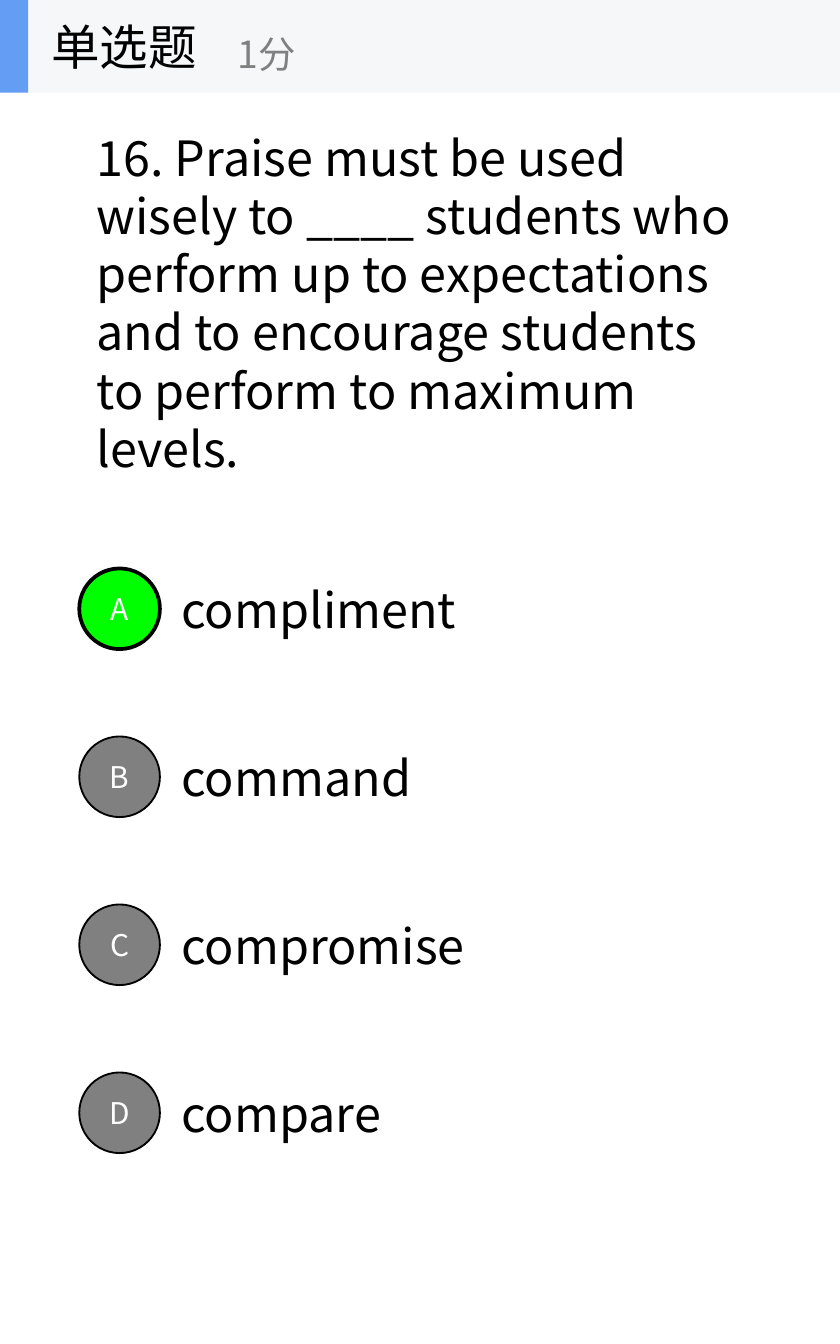
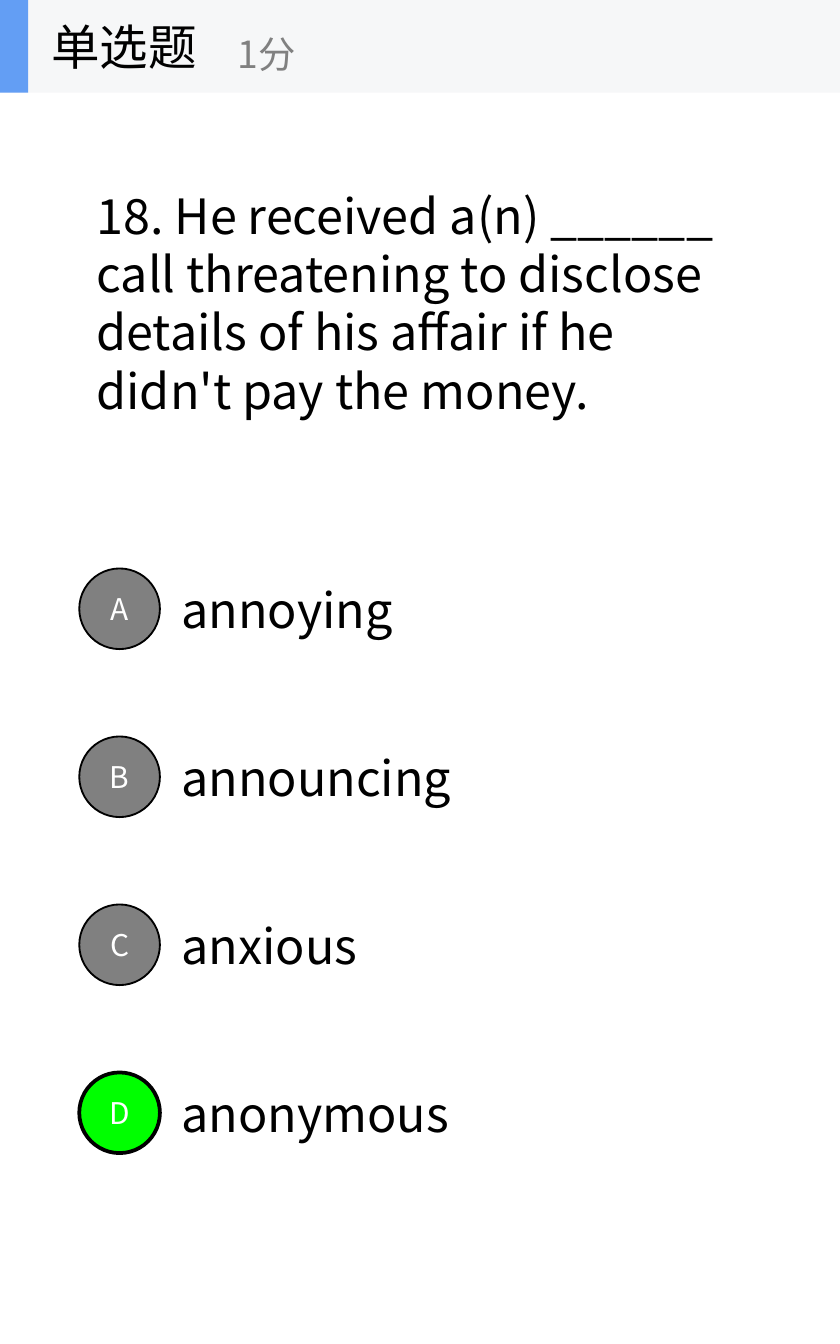
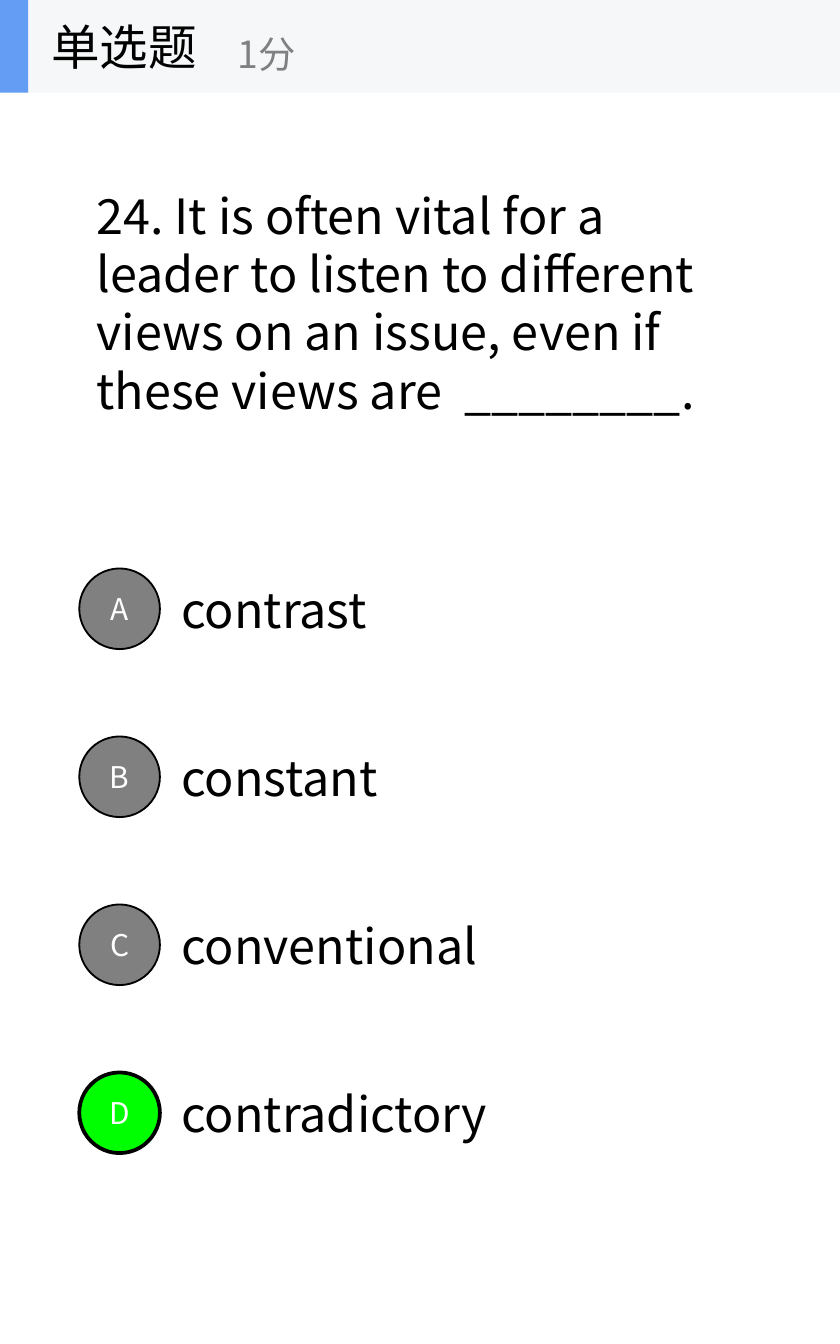
from pptx import Presentation
from pptx.dml.color import RGBColor
from pptx.enum.shapes import MSO_SHAPE
from pptx.enum.text import MSO_ANCHOR, MSO_AUTO_SIZE, PP_ALIGN
from pptx.oxml.ns import qn
from pptx.util import Inches, Pt

RECTANGLE, OVAL = MSO_SHAPE.RECTANGLE, MSO_SHAPE.OVAL
MIDDLE = MSO_ANCHOR.MIDDLE
LEFT, CENTER = PP_ALIGN.LEFT, PP_ALIGN.CENTER
FIXED, GROW = MSO_AUTO_SIZE.NONE, MSO_AUTO_SIZE.SHAPE_TO_FIT_TEXT

FONT = "Noto Sans CJK SC"
COLORS = {
    "text": "000000",
    "muted": "808080",
    "white": "FFFFFF",
    "band": "F6F7F8",
    "accent": "639EF4",
    "correct": "00FF00",
}
PAGE_WIDTH, PAGE_HEIGHT = 6.25, 10
HEADER_BOX = (0, 0, PAGE_WIDTH, 0.69)
QUESTION_MIDDLE = 2.25
FIRST_OPTION_MIDDLE = 4.53
OPTION_STEP = 1.25
BADGE_SIZE = 0.6

# Options are pairs of wording and text box width.
QUESTIONS = [
    {
        "text": "16. Praise must be used wisely to ____ students who perform up to "
                "expectations and to encourage students to perform to maximum levels.",
        "height": 2.7,
        "options": [("compliment", 2.38), ("command", 2.05),
                    ("compromise", 2.45), ("compare", 1.82)],
        "option_height": 0.53,
        "answer": "A",
        "fit": GROW,
    },
    {
        "text": "18. He received a(n) ______ call threatening to disclose details "
                "of his affair if he didn't pay the money.",
        "height": 1.83,
        "options": [("annoying", 1.92), ("announcing", 2.35),
                    ("anxious", 1.63), ("anonymous", 2.33)],
        "option_height": 0.53,
        "answer": "D",
        "fit": GROW,
    },
    {
        "text": "24. It is often vital for a leader to listen to different views "
                "on an issue, even if these views are  ________.",
        "height": 3.12,
        "options": [("contrast", 4.38), ("constant", 4.38),
                    ("conventional", 4.38), ("contradictory", 4.38)],
        "option_height": 0.94,
        "answer": "D",
        "fit": FIXED,
    },
]


def color(name):
    return RGBColor.from_string(COLORS[name])


def write_text(shape, text, size=26, ink="text", align=LEFT, fit=FIXED):
    frame = shape.text_frame
    frame.word_wrap = True
    frame.auto_size = fit
    frame.vertical_anchor = MIDDLE
    para = frame.paragraphs[0]
    para.alignment = align
    span = para.add_run()
    span.text = text
    span.font.size = Pt(size)
    span.font.name = FONT
    span.font.color.rgb = color(ink)
    east_asian = span.font.color and para.runs[0].font._element.makeelement(
        qn("a:ea"), {"typeface": FONT})
    span.font._element.find(qn("a:latin")).addnext(east_asian)


def add_text(page, box, text, **style):
    shape = page.shapes.add_textbox(*map(Inches, box))
    write_text(shape, text, **style)


def add_filled(page, kind, box, fill, line_width=0):
    shape = page.shapes.add_shape(kind, *map(Inches, box))
    shape.shadow.inherit = False
    shape.fill.solid()
    shape.fill.fore_color.rgb = color(fill)
    if line_width:
        shape.line.color.rgb = color("text")
        shape.line.width = Pt(line_width)
    else:
        shape.line.fill.background()
    return shape


def add_header(page, box):
    left, top, width, height = box
    add_filled(page, RECTANGLE, box, "band")
    bar = add_filled(page, RECTANGLE, (left, top, 0.21, height), "accent")
    title = page.shapes.title
    title.left, title.top = Inches(left + 0.28), Inches(top)
    title.width, title.height = Inches(2.08), Inches(height)
    write_text(title, "单选题")
    bar.element.addnext(title.element)  # the title must lie above the band
    add_text(page, (left + 1.67, top + 0.12, 2.5, 0.56), "1分", size=20, ink="muted")


def add_option(page, middle, letter, option, question):
    text, width = option
    height = question["option_height"]
    add_text(page, (1.25, middle - height / 2, width, height), text,
             fit=question["fit"])
    correct = letter == question["answer"]
    badge = add_filled(page, OVAL,
                       (0.59, middle - BADGE_SIZE / 2, BADGE_SIZE, BADGE_SIZE),
                       "correct" if correct else "muted", 2 if correct else 1)
    frame = badge.text_frame
    frame.margin_left = frame.margin_right = 0
    frame.margin_top = frame.margin_bottom = 0
    write_text(badge, letter, size=16, ink="white", align=CENTER)


def add_question_page(deck, question):
    page = deck.slides.add_slide(deck.slide_layouts.get_by_name("Title Only"))
    height = question["height"]
    add_text(page, (0.62, QUESTION_MIDDLE - height / 2, 5, height),
             question["text"], fit=question["fit"])
    for index, (letter, option) in enumerate(zip("ABCD", question["options"])):
        add_option(page, FIRST_OPTION_MIDDLE + index * OPTION_STEP,
                   letter, option, question)
    add_header(page, HEADER_BOX)


def main():
    deck = Presentation()
    deck.slide_width, deck.slide_height = Inches(PAGE_WIDTH), Inches(PAGE_HEIGHT)
    for question in QUESTIONS:
        add_question_page(deck, question)
    deck.save("out.pptx")


if __name__ == "__main__":
    main()
